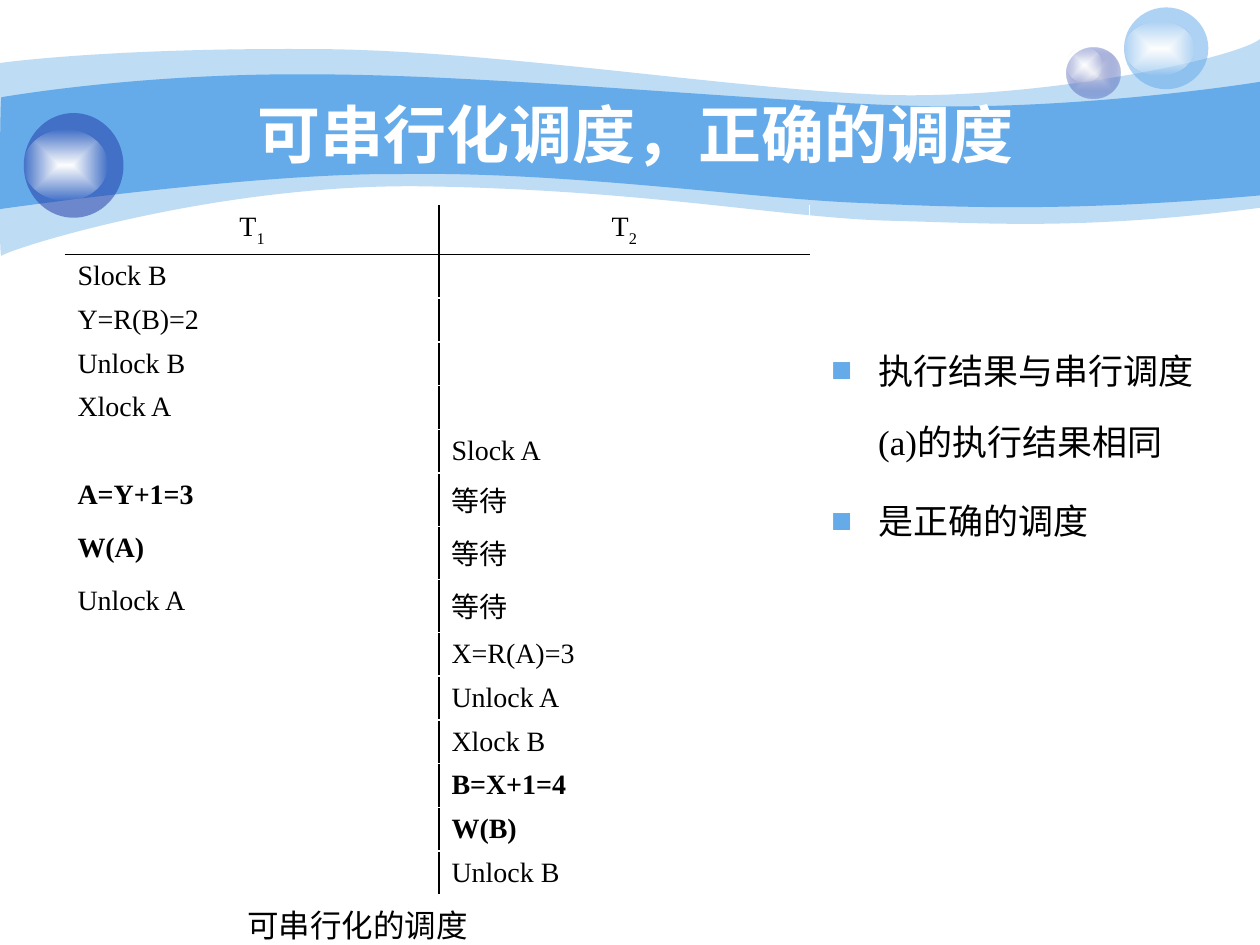
from lxml import etree
from pptx import Presentation
from pptx.dml.color import RGBColor
from pptx.enum.shapes import MSO_SHAPE
from pptx.enum.text import MSO_ANCHOR, MSO_AUTO_SIZE, PP_ALIGN
from pptx.oxml import parse_xml
from pptx.oxml.ns import qn
from pptx.util import Cm, Pt

OVAL = MSO_SHAPE.OVAL
LEFT, MID = PP_ALIGN.LEFT, PP_ALIGN.CENTER
SKY = RGBColor(0x65, 0xAA, 0xE9)
NAVY = RGBColor(0x23, 0x3D, 0xA9)
PALE = RGBColor(0xE1, 0xE2, 0xED)
WHITE = RGBColor(0xFF, 0xFF, 0xFF)
BLACK = RGBColor(0, 0, 0)
SERIF, SANS = "Times New Roman", "Arial"
NS = 'xmlns:a="http://schemas.openxmlformats.org/drawingml/2006/main"'

# Content
TITLE = "可串行化调度，正确的调度"
CAPTION = "可串行化的调度 "
POINTS = ["执行结果与串行调度(a)的执行结果相同", "是正确的调度"]
HEADS = [("T", "1"), ("T", "2")]
STEPS = [
    ("Slock B", ""), ("Y=R(B)=2", ""), ("Unlock B", ""), ("Xlock A", ""),
    ("", "Slock A"), ("A=Y+1=3", "等待"), ("W(A)", "等待"),
    ("Unlock A", "等待"), ("", "X=R(A)=3"), ("", "Unlock A"),
    ("", "Xlock B"), ("", "B=X+1=4"), ("", "W(B)"), ("", "Unlock B"),
]
STRONG = {"A=Y+1=3", "W(A)", "B=X+1=4", "W(B)"}

# Waves in cm: opacity, start, then curves (three points) or lines (one point)
WAVES = [
    (41, (0, 1.27), [
        [(0.61, 1.19), (2.72, 0.97), (6.27, 0.99)],
        [(9.8, 0.99), (14.61, 1.78), (17.75, 1.91)],
        [(20.88, 2.03), (24.89, 1.19), (25.4, 0.79)],
        [(25.4, 4.19)],
        [(21.79, 4.65), (19.99, 4.5), (17.91, 4.45)],
        [(15.8, 4.39), (13.08, 3.84), (8.71, 3.76)],
        [(4.37, 3.66), (0.1, 5.05), (0.03, 5.16)],
        [(-0.03, 5.28), (0, 1.9), (0, 1.27)]]),
    (100, (0.03, 1.96), [
        [(0.05, 1.96), (2.79, 1.47), (6.3, 1.5)],
        [(9.8, 1.5), (15.11, 2.03), (18.24, 2.13)],
        [(21.36, 2.24), (24.79, 1.75), (25.4, 1.65)],
        [(25.4, 3.94)],
        [(21.67, 4.27), (19.43, 4.19), (17.32, 4.09)],
        [(15.21, 4.01), (11.35, 3.45), (8.05, 3.51)],
        [(5.16, 3.48), (-0.05, 4.22), (-0.03, 4.22)],
        [(0, 4.22), (0, 1.96), (0.03, 1.96)]]),
]
# Balls: box, fill stops (colour, opacity), box of the shine
BALLS = [
    ((21.51, 0.97, 1.07, 1.02), [(PALE, 100), (NAVY, 31)],
     (21.51, 0.97, 0.71, 0.69)),
    ((22.66, 0.15, 1.7, 1.65), [(SKY, 53)], (22.66, 0.43, 1.42, 1.09)),
    ((0.48, 2.28, 2.01, 2.11), [(NAVY, 53)], (0.48, 2.62, 1.68, 1.42)),
]
SHINE = [(WHITE, 100), (WHITE, 0)]


def write(par, text, size=16, bold=False, color=BLACK, font=SERIF,
          align=LEFT, sub="", indent=0.95, bullet=False, line=None, gap=None):
    ppr = par._p.get_or_add_pPr()
    ppr.set("marL", str(Cm(indent)))
    ppr.set("indent", str(-Cm(indent)))
    if bullet:
        ppr.append(parse_xml(
            f'<a:buClr {NS}><a:srgbClr val="{SKY}"/></a:buClr>'))
        ppr.append(parse_xml(f'<a:buFont {NS} typeface="{font}"/>'))
        ppr.append(parse_xml(f'<a:buChar {NS} char="■"/>'))
    else:
        etree.SubElement(ppr, qn("a:buNone"))
    par.alignment = align
    if line:
        par.line_spacing = line
    if gap is not None:
        par.space_before = Pt(gap)
    for part in filter(None, (text, sub)):
        run = par.add_run()
        run.text = part
        run.font.size, run.font.bold, run.font.name = Pt(size), bold, font
        run.font.color.rgb = color
        if part == sub:
            run.font._element.set("baseline", "-30000")


def tint(color, alpha):
    return (f'<a:srgbClr val="{color}"><a:alpha val="{alpha * 1000}"/>'
            '</a:srgbClr>')


def paint(shape, stops):
    shape.shadow.inherit = False
    shape.line.fill.background()
    if len(stops) == 1:
        xml = f'<a:solidFill {NS}>{tint(*stops[0])}</a:solidFill>'
    else:
        marks = "".join(f'<a:gs pos="{i * 100000}">{tint(*s)}</a:gs>'
                        for i, s in enumerate(stops))
        xml = (f'<a:gradFill {NS}><a:gsLst>{marks}</a:gsLst>'
               '<a:path path="shape"><a:fillToRect l="50000" t="50000" '
               'r="50000" b="50000"/></a:path></a:gradFill>')
    shape._element.spPr.find(qn("a:ln")).addprevious(parse_xml(xml))


def flow(start, parts):
    """Outline whose three-point parts become cubic curves."""
    pen = shapes.build_freeform(*map(Cm, start))
    pen.add_line_segments([(Cm(x), Cm(y)) for part in parts for x, y in part])
    shape = pen.convert_to_shape()
    legs = iter(list(shape._element.iter(qn("a:lnTo"))))
    for part in parts:
        first = next(legs)
        if len(part) == 3:
            first.tag = qn("a:cubicBezTo")
            for leg in (next(legs), next(legs)):
                first.append(leg[0])
                leg.getparent().remove(leg)
    return shape


def edge(cell, **sides):
    props = cell._tc.get_or_add_tcPr()
    for i, side in enumerate("LRTB"):
        color = sides.get(side)
        fill = (f'<a:solidFill><a:srgbClr val="{color}"/></a:solidFill>'
                if color is not None else "<a:noFill/>")
        props.insert(i, parse_xml(
            f'<a:ln{side} {NS} w="{Pt(1)}">{fill}</a:ln{side}>'))


def place(shape, *box):
    shape.left, shape.top, shape.width, shape.height = map(Cm, box)


deck = Presentation()
deck.slide_width, deck.slide_height = Cm(25.4), Cm(19.05)
slide = deck.slides.add_slide(deck.slide_layouts[1])
shapes = slide.shapes
title, body = shapes.title, slide.placeholders[1]

# Waves and balls
for alpha, start, parts in WAVES:
    paint(flow(start, parts), [(SKY, alpha)])
for box, stops, glow in BALLS:
    group = shapes.add_group_shape()
    for spot, fill in ((box, stops), (glow, SHINE)):
        paint(group.shapes.add_shape(OVAL, *map(Cm, spot)), fill)

# Title, drawn above the waves
shapes._spTree.append(title._element)
place(title, 2.55, 1.9, 20.52, 1.58)
title.text_frame.auto_size = MSO_AUTO_SIZE.NONE
title.text_frame.vertical_anchor = MSO_ANCHOR.MIDDLE
write(title.text_frame.paragraphs[0], TITLE, size=36, bold=True,
      color=WHITE, font=SANS, align=MID, indent=0)

# Schedule table
frame = shapes.add_table(len(STEPS) + 1, 2, Cm(1.31), Cm(4.13),
                         Cm(15.01), Cm(13.9))
grid = frame.table
grid.first_row = grid.horz_banding = False
for col, width in zip(grid.columns, (7.54, 7.47)):
    col.width = Cm(width)
for r, pair in enumerate([HEADS, *STEPS]):
    grid.rows[r].height = Cm(0.99 if r == 0 else
                             1.07 if "等待" in pair else 0.88)
    for c, item in enumerate(pair):
        cell = grid.cell(r, c)
        cell.fill.background()
        par = cell.text_frame.paragraphs[0]
        if r == 0:
            write(par, item[0], sub=item[1], align=MID)
        elif item:
            write(par, item, bold=item in STRONG)
        else:
            cell.margin_top = cell.margin_bottom = 0
        edge(cell, L=BLACK if c else None, R=WHITE if c else BLACK,
             T=(None, BLACK)[r] if r < 2 else WHITE,
             B=WHITE if r else BLACK)

# Caption
note = shapes.add_textbox(Cm(4.72), Cm(17.53), Cm(5.11), Cm(1.02)).text_frame
note.word_wrap = False
write(note.paragraphs[0], CAPTION, size=18, align=MID, line=1.8)

# Remarks
shapes._spTree.append(body._element)
place(body, 16.5, 6.32, 8.2, 4.57)
text = body.text_frame
text.auto_size = MSO_AUTO_SIZE.NONE
for i, point in enumerate(POINTS):
    par = text.add_paragraph() if i else text.paragraphs[0]
    write(par, point, size=20, bullet=True, line=1.7, gap=4.5 if i else 0)

deck.save("out.pptx")
